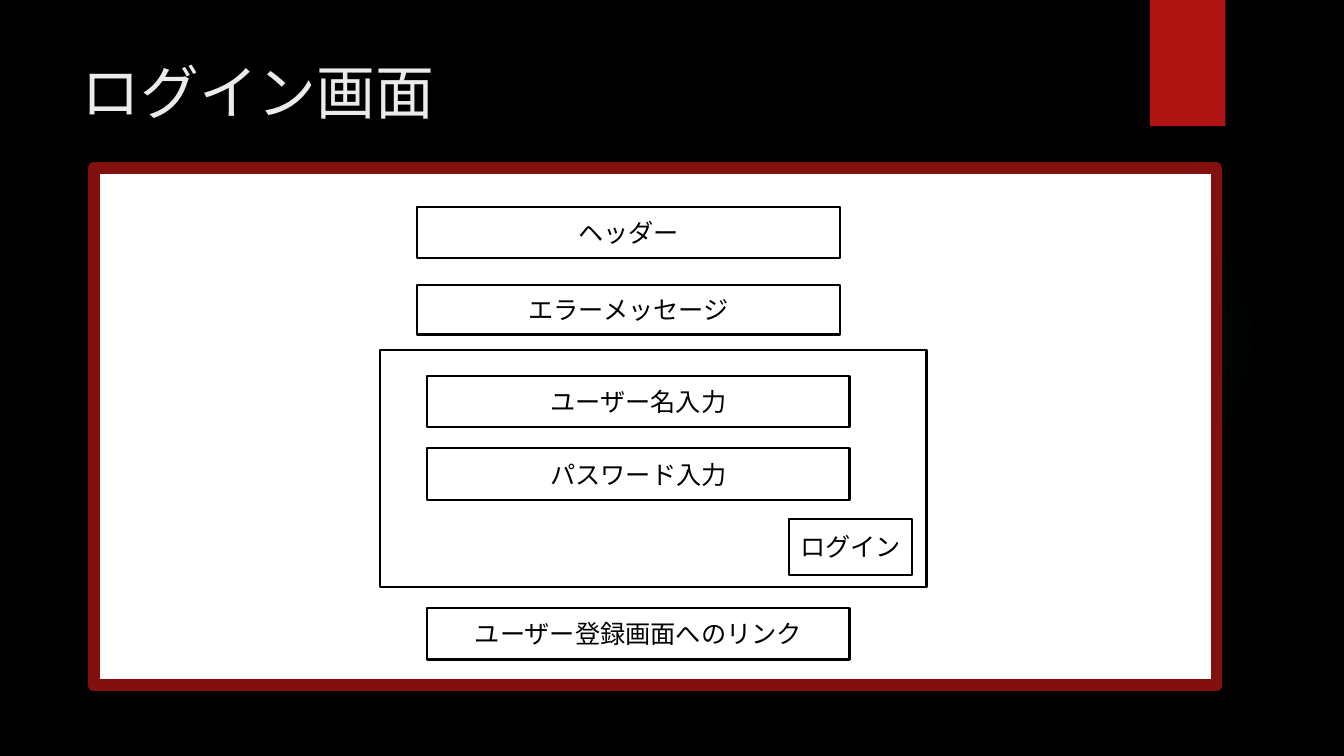
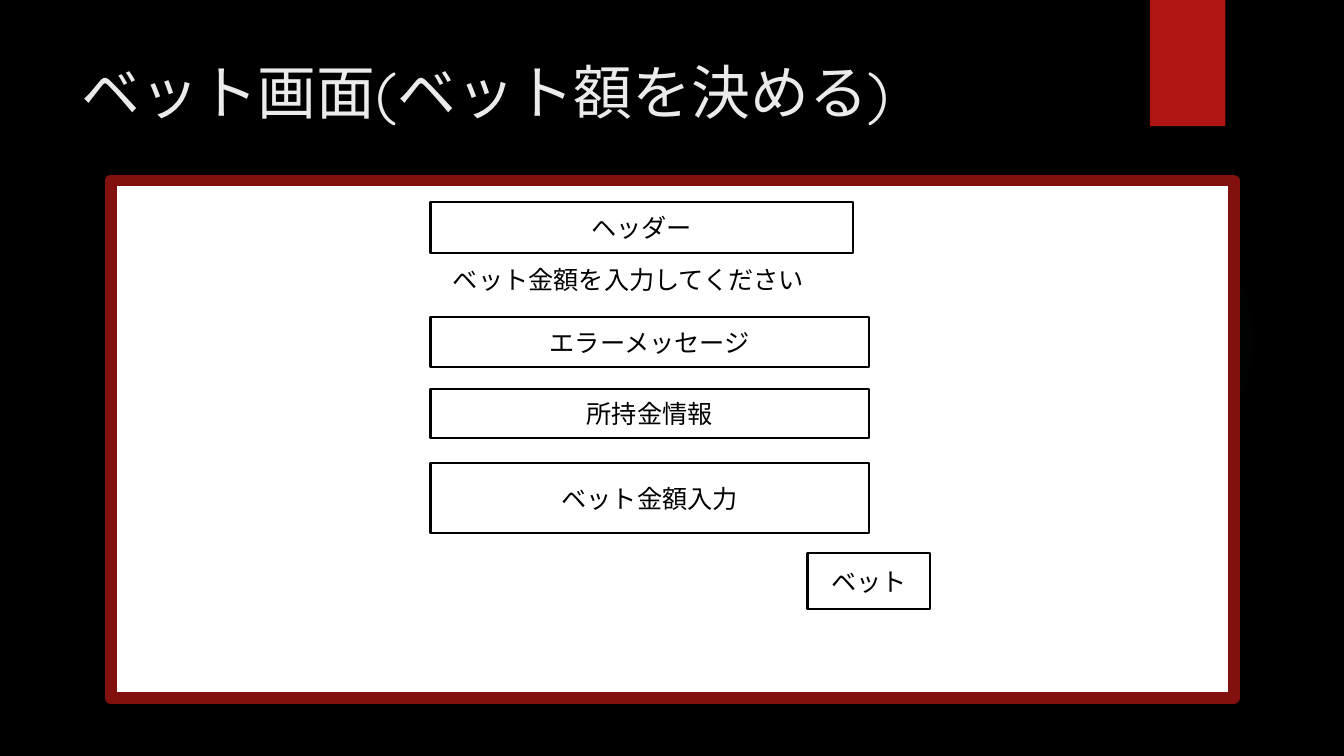
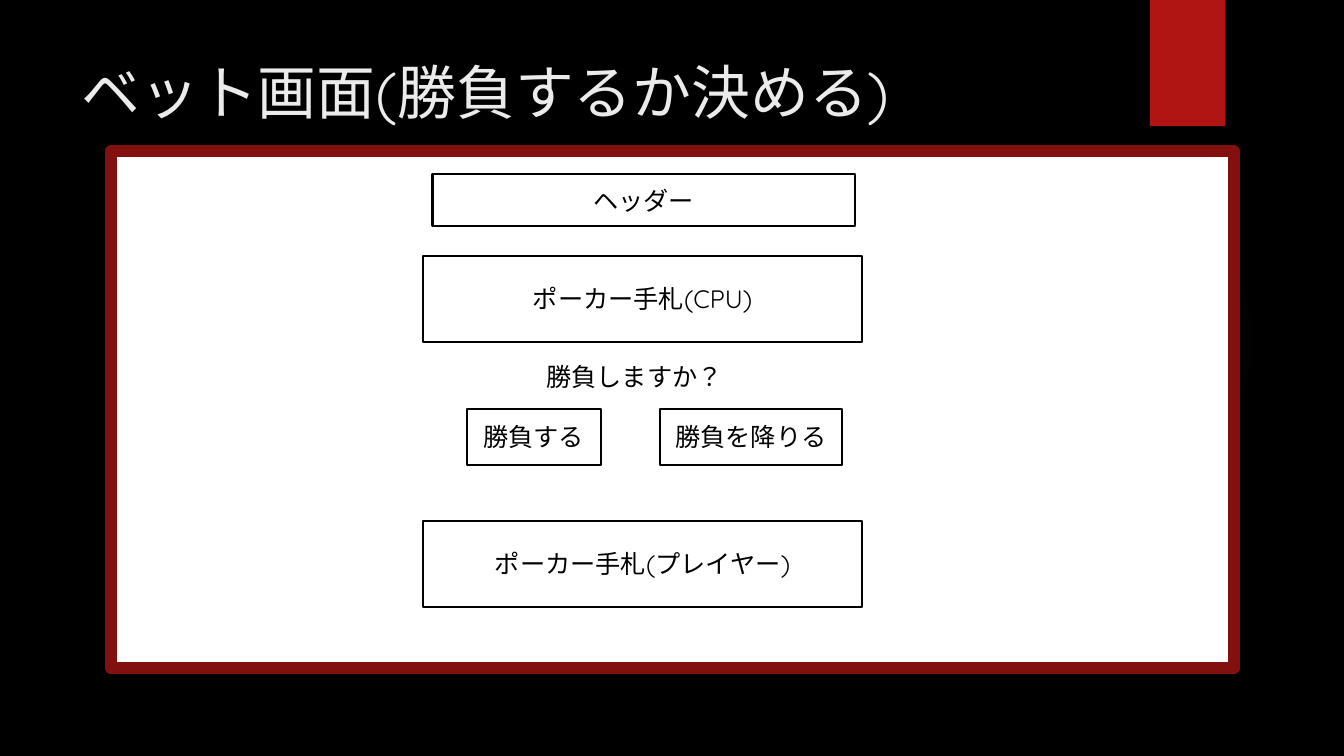
from lxml import etree
from pptx import Presentation
from pptx.dml.color import RGBColor
from pptx.enum.lang import MSO_LANGUAGE_ID
from pptx.enum.shapes import MSO_SHAPE
from pptx.enum.text import MSO_ANCHOR, MSO_AUTO_SIZE, PP_ALIGN
from pptx.oxml import parse_xml
from pptx.util import Cm, Pt

FONT = "Quicksand"
COLORS = {
    "background": "000000", "band": "B01513", "glow": "50B9C1",
    "title": "EBEBEB", "screen": "FFFFFF", "frame": "82100E", "ink": "000000",
}

# Sizes in cm (width, height) of each kind of part
SCREEN = (28.3, 13.03)
SIZES = {
    "field": (10.64, 1.3), "message": (10.64, 1.24), "form": (13.77, 5.99),
    "wide": (11.05, 1.24), "amount": (11.05, 1.78), "hand": (11.05, 2.16),
    "button": (3.1, 1.4), "fight": (3.38, 1.4), "fold": (4.57, 1.4),
    "prompt": (10.64, 1.3),
}

# Each screen: title, frame corner, parts as (kind, text, left, top) in cm
SCREENS = [
    ("ログイン画面", (2.36, 4.24), [
        ("field", "ヘッダー", 10.52, 5.21),
        ("message", "エラーメッセージ", 10.52, 7.19),
        ("form", "", 9.58, 8.81),
        ("field", "ユーザー名入力", 10.77, 9.47),
        ("field", "パスワード入力", 10.77, 11.3),
        ("button", "ログイン", 19.89, 13.08),
        ("field", "ユーザー登録画面へのリンク", 10.77, 15.32),
    ]),
    ("ベット画面(ベット額を決める)", (2.79, 4.55), [
        ("field", "ヘッダー", 10.85, 5.08),
        ("prompt", "ベット金額を入力してください", 10.52, 6.38),
        ("wide", "エラーメッセージ", 10.85, 8.0),
        ("wide", "所持金情報", 10.85, 9.8),
        ("amount", "ベット金額入力", 10.85, 11.66),
        ("button", "ベット", 20.35, 13.94),
    ]),
    ("ベット画面(勝負するか決める)", (2.79, 3.81), [
        ("field", "ヘッダー", 10.9, 4.39),
        ("hand", "ポーカー手札(CPU)", 10.67, 6.45),
        ("prompt", "勝負しますか？", 10.67, 8.84),
        ("fight", "勝負する", 11.76, 10.31),
        ("fold", "勝負を降りる", 16.64, 10.31),
        ("hand", "ポーカー手札(プレイヤー)", 10.67, 13.13),
    ]),
]


def rgb(name):
    return RGBColor.from_string(COLORS[name])


def add_box(slide, left, top, size, fill=None, line=None, weight=1.5,
            shape=MSO_SHAPE.RECTANGLE):
    sp = slide.shapes.add_shape(shape, Cm(left), Cm(top), *map(Cm, size))
    sp.shadow.inherit = False
    if fill:
        sp.fill.solid()
        sp.fill.fore_color.rgb = rgb(fill)
    else:
        sp.fill.background()
    if line:
        sp.line.color.rgb = rgb(line)
        sp.line.width = Pt(weight)
    else:
        sp.line.fill.background()
    return sp


def set_text(tf, text, size, color):
    tf.text = text
    tf.word_wrap = True
    font = tf.paragraphs[0].font
    font.name, font.size = FONT, Pt(size)
    font.color.rgb = rgb(color)
    font.language_id = MSO_LANGUAGE_ID.JAPANESE


def add_part(slide, kind, text, left, top):
    if kind == "prompt":
        sp = slide.shapes.add_textbox(Cm(left), Cm(top), *map(Cm, SIZES[kind]))
    else:
        sp = add_box(slide, left, top, SIZES[kind], line="ink")
    if text:
        tf = sp.text_frame
        set_text(tf, text, 18, "ink")
        tf.vertical_anchor = MSO_ANCHOR.MIDDLE
        tf.paragraphs[0].alignment = PP_ALIGN.CENTER


def set_glow(sp):
    """Radial fill that fades out from the centre."""
    stops = "".join(
        f'<a:gs pos="{pos}000"><a:srgbClr val="{COLORS["glow"]}">'
        f'<a:alpha val="{alpha}000"/></a:srgbClr></a:gs>'
        for pos, alpha in [(0, 7), (36, 6), (69, 0)])
    grad = parse_xml(
        '<a:gradFill xmlns:a="http://schemas.openxmlformats.org/drawingml/2006/main">'
        f'<a:gsLst>{stops}</a:gsLst><a:path path="circle">'
        '<a:fillToRect l="50000" t="50000" r="50000" b="50000"/></a:path></a:gradFill>')
    spPr = sp._element.spPr
    no_fill = next(el for el in spPr if etree.QName(el).localname == "noFill")
    spPr.replace(no_fill, grad)


def style_layout(layout, slide):
    """Give the layout its background, title place and decorations."""
    layout.background.fill.solid()
    layout.background.fill.fore_color.rgb = rgb("background")
    title = layout.placeholders[0]
    title.left, title.top, title.width, title.height = map(Cm, (1.8, 1.27, 26.14, 3.89))
    glow = add_box(slide, 23.9, 4.65, (7.82, 7.82), shape=MSO_SHAPE.OVAL)
    set_glow(glow)
    band = add_box(slide, 28.98, 0, (1.9, 3.18), fill="band")
    # Shapes can only be made on a slide, so move them to the layout
    for sp in (glow, band):
        layout.shapes._spTree.append(sp._element)


def add_screen(slide, title, corner, parts):
    tf = slide.shapes.title.text_frame
    set_text(tf, title, 42, "title")
    tf.vertical_anchor = MSO_ANCHOR.TOP
    tf.auto_size = MSO_AUTO_SIZE.NONE
    tf.paragraphs[0].alignment = PP_ALIGN.LEFT
    add_box(slide, *corner, SCREEN, fill="screen", line="frame", weight=8.5)
    for part in parts:
        add_part(slide, *part)


def main():
    prs = Presentation()
    prs.slide_width, prs.slide_height = Cm(33.87), Cm(19.05)
    layout = prs.slide_layouts[5]
    slides = [prs.slides.add_slide(layout) for _ in SCREENS]
    style_layout(layout, slides[0])
    for slide, screen in zip(slides, SCREENS):
        add_screen(slide, *screen)
    prs.save("out.pptx")


if __name__ == "__main__":
    main()
